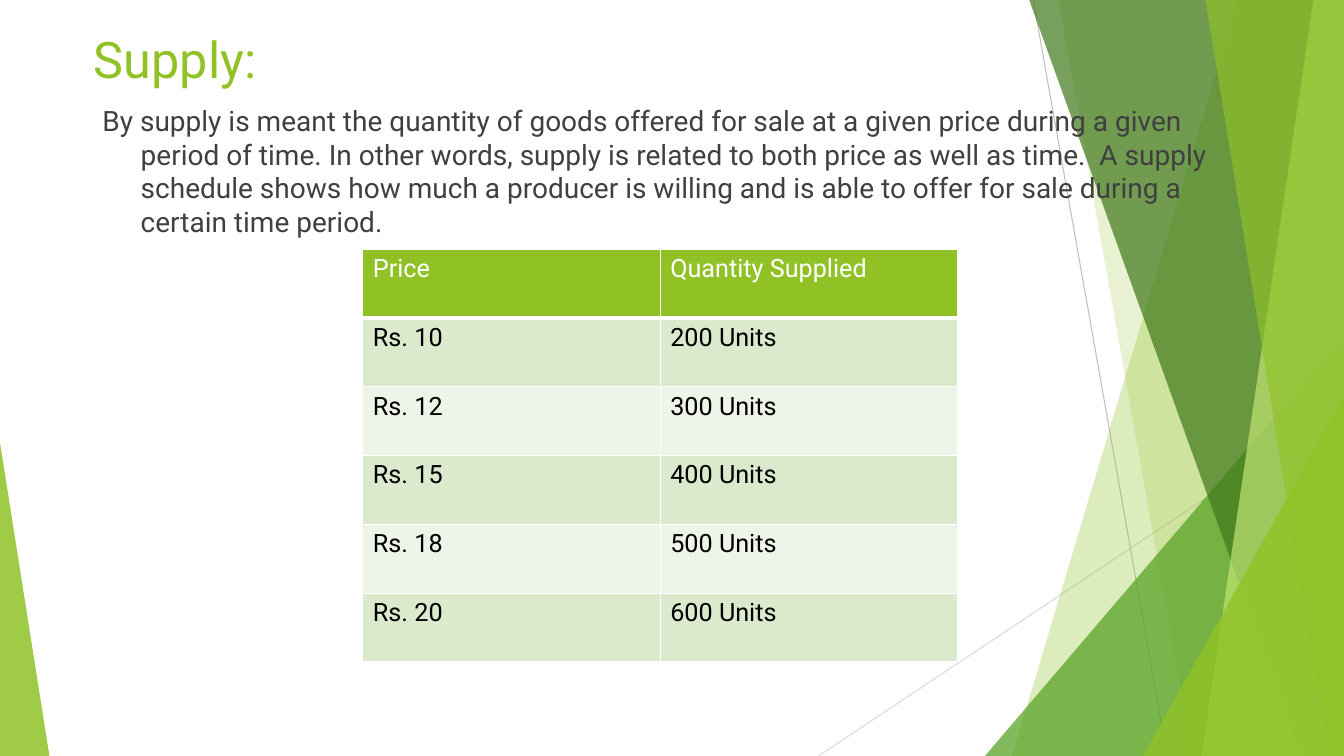
from lxml import etree
from pptx import Presentation, util as u
from pptx.dml.color import RGBColor
from pptx.enum import shapes, text
from pptx.oxml.ns import qn

COLORS = {
    "lime": "90C226", "pale lime": "C0E474", "green": "54A021", "forest": "3F7819",
    "grey": "BFBFBF", "light grey": "D9D9D9", "ink": "404040",
    "white": "FFFFFF", "black": "000000", "band": "DBE9CD", "light band": "EEF4E8",
}


def write(frame, content, size=18, color="black", font="Roboto", hanging=0):
    """Put one formatted paragraph into a text frame."""
    frame.word_wrap = True
    frame.vertical_anchor = text.MSO_ANCHOR.TOP
    paragraph = frame.paragraphs[0]
    if hanging:
        properties = paragraph._p.get_or_add_pPr()
        properties.set("marL", str(u.Inches(hanging)))
        properties.set("indent", str(-u.Inches(hanging)))
    run = paragraph.add_run()
    run.text = content
    run.font.name = font
    run.font.size = u.Pt(size)
    run.font.color.rgb = RGBColor.from_string(COLORS[color])


class Deck:
    """Style and current slide; lengths are percentages of the slide's size."""

    def __init__(self, width, height):
        self.deck = Presentation()
        self.deck.slide_width = u.Inches(width)
        self.deck.slide_height = u.Inches(height)
        self.slide = self.deck.slides.add_slide(self.deck.slide_layouts[6])

    def x(self, share):
        return round(self.deck.slide_width * share / 100)

    def y(self, share):
        return round(self.deck.slide_height * share / 100)

    def box(self, left, top, width, height):
        return self.x(left), self.y(top), self.x(width), self.y(height)

    def line(self, start, end, color):
        rule = self.slide.shapes.add_connector(
            shapes.MSO_CONNECTOR.STRAIGHT,
            self.x(start[0]), self.y(start[1]), self.x(end[0]), self.y(end[1]))
        rule.line.color.rgb = RGBColor.from_string(COLORS[color])
        rule.line.width = u.Pt(0.75)
        etree.SubElement(rule._element.spPr, qn("a:effectLst"))

    def paint(self, facet, color, opacity):
        facet.shadow.inherit = False
        facet.line.fill.background()
        facet.fill.solid()
        facet.fill.fore_color.rgb = RGBColor.from_string(COLORS[color])
        shade = facet._element.spPr.find(qn("a:solidFill"))[0]
        etree.SubElement(shade, qn("a:alpha")).set("val", str(opacity * 1000))

    def facet(self, top_left, bottom_left, color, opacity):
        """Full-height panel that reaches the right edge of the slide."""
        corners = [(100, 0), (100, 100), (bottom_left, 100)]
        outline = self.slide.shapes.build_freeform(self.x(top_left), 0)
        outline.add_line_segments([(self.x(a), self.y(b)) for a, b in corners])
        self.paint(outline.convert_to_shape(), color, opacity)

    def triangle(self, left, top, width, apex, color, opacity):
        """Triangle that stands on the bottom edge of the slide."""
        corner = self.slide.shapes.add_shape(
            shapes.MSO_SHAPE.ISOSCELES_TRIANGLE, *self.box(left, top, width, 100 - top))
        corner.adjustments[0] = apex
        self.paint(corner, color, opacity)

    def text(self, area, content, **style):
        write(self.slide.shapes.add_textbox(*self.box(*area)).text_frame, content, **style)

    def border(self, cell, bottom):
        properties = cell._tc.get_or_add_tcPr()
        widths = {"lnL": 1, "lnR": 1, "lnT": 1, "lnB": bottom}
        for position, (side, width) in enumerate(widths.items()):
            edge = etree.Element(qn(f"a:{side}"), w=str(u.Pt(width)))
            fill = etree.SubElement(edge, qn("a:solidFill"))
            etree.SubElement(fill, qn("a:srgbClr"), val=COLORS["white"])
            properties.insert(position, edge)

    def table(self, area, rows):
        grid = self.slide.shapes.add_table(len(rows), len(rows[0]), *self.box(*area)).table
        for r, row in enumerate(rows):
            header = r == 0
            fill = "lime" if header else ("light band", "band")[r % 2]
            for c, value in enumerate(row):
                cell = grid.cell(r, c)
                cell.fill.solid()
                cell.fill.fore_color.rgb = RGBColor.from_string(COLORS[fill])
                write(cell.text_frame, value, color="white" if header else "black")
                self.border(cell, bottom=3 if header else 1)

    def save(self):
        self.deck.save("out.pptx")


def main():
    deck = Deck(13.333, 7.5)

    # Faceted background
    deck.line((76.88, 0), (86.85, 100), "grey")
    deck.line((100, 53.73), (60.9, 100), "light grey")
    deck.facet(92.1, 75.3, "lime", 30)
    deck.facet(78.75, 88.73, "lime", 20)
    deck.triangle(73.28, 44.4, 26.72, 1, "green", 72)
    deck.facet(76.58, 96.83, "forest", 70)
    deck.facet(97.73, 89.4, "pale lime", 70)
    deck.facet(89.7, 98.85, "lime", 65)
    deck.triangle(85.05, 52.4, 14.95, 1, "lime", 80)
    deck.triangle(0, 58.53, 3.68, 0, "lime", 85)

    # Title and definition
    deck.text((6.25, 3.07, 86.25, 11.07), "Supply:", size=36, color="lime")
    deck.text(
        (6.88, 13.07, 86.25, 76.8),
        "By supply is meant the quantity of goods offered for sale at a given price "
        "during a given period of time. In other words, supply is related to both price "
        "as well as time.  A supply schedule shows how much a producer is willing and is "
        "able to offer for sale during a certain time period.",
        size=20, color="ink", hanging=0.38)

    # Supply schedule
    schedule = [(10, 200), (12, 300), (15, 400), (18, 500), (20, 600)]
    rows = [("Price", "Quantity Supplied")]
    rows += [(f"Rs. {price}", f"{quantity} Units") for price, quantity in schedule]
    deck.table((27, 32.93, 44.25, 54.67), rows)

    deck.save()


if __name__ == "__main__":
    main()
